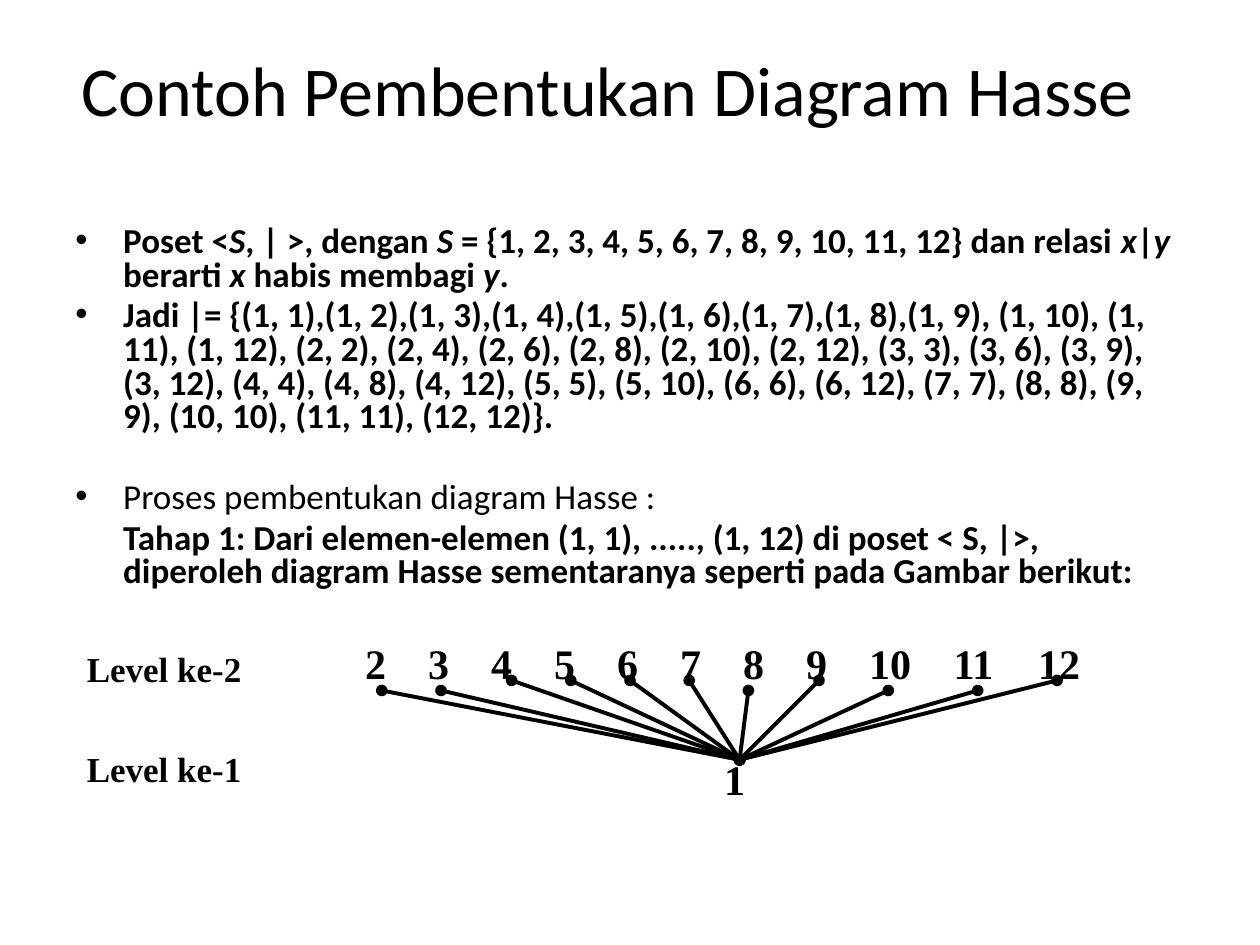
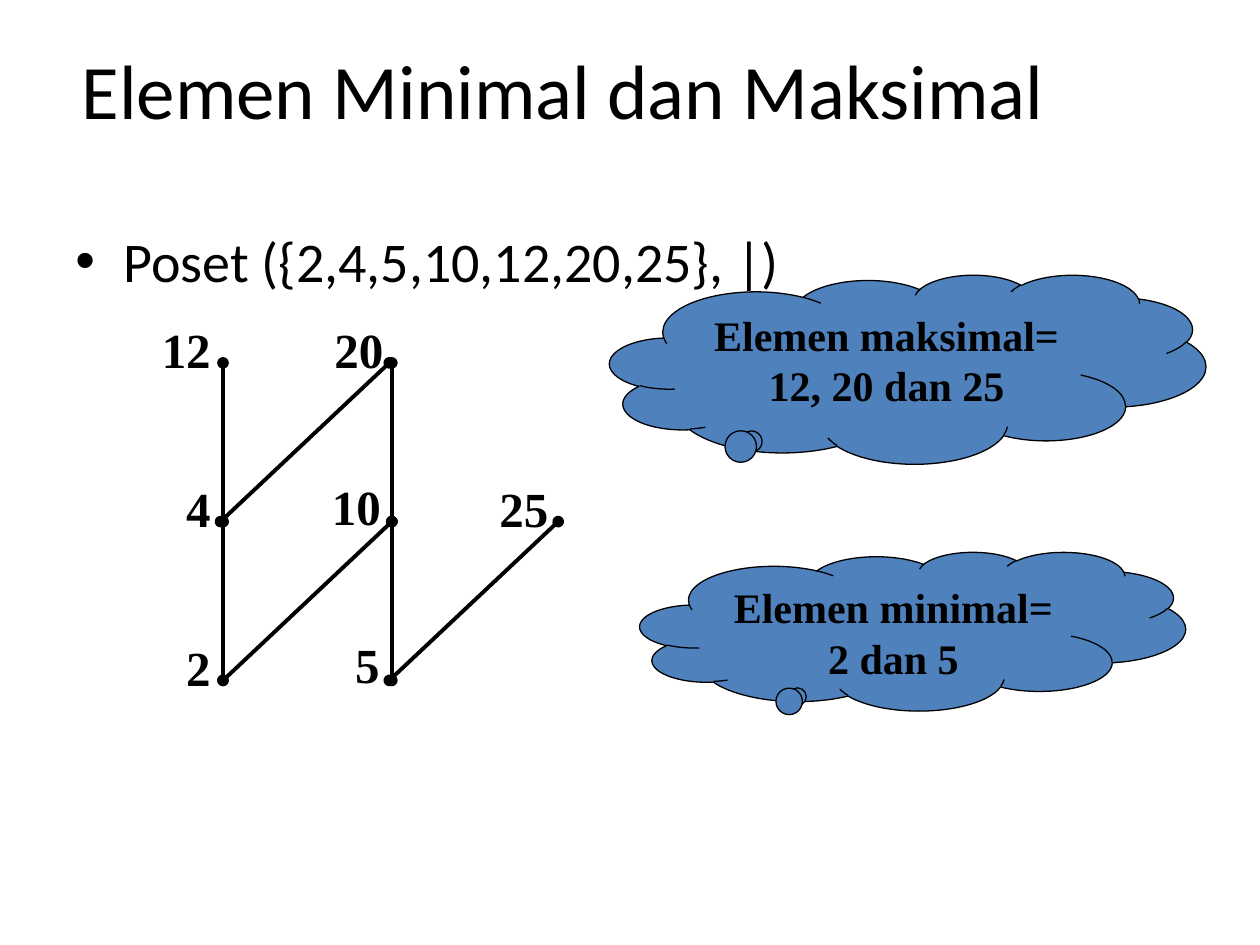
from pptx import Presentation
from pptx import util as u
from pptx.dml.color import RGBColor
from pptx.enum import shapes, text
from pptx.oxml.ns import qn
from lxml import etree

COLORS = {"ink": "000000", "paper": "FFFFFF", "cloud": "4F81BD"}
SANS, SERIF = "Calibri", "Times New Roman"
LEFT, CENTER, RIGHT = text.PP_ALIGN.LEFT, text.PP_ALIGN.CENTER, text.PP_ALIGN.RIGHT
INDENT = 0.38


def rgb(name):
    return RGBColor.from_string(COLORS[name])


def add_run(p, words, size, font, bold=False, italic=False):
    r = p.add_run()
    r.text = words
    r.font.size, r.font.name = u.Pt(size), font
    r.font.bold, r.font.italic = bold, italic
    r.font.color.rgb = rgb("ink")


def add_box(container, x, y, w, h, anchor=text.MSO_ANCHOR.TOP):
    sp = container.add_textbox(u.Inches(x), u.Inches(y), u.Inches(w), u.Inches(h))
    tf = sp.text_frame
    tf.word_wrap, tf.vertical_anchor = True, anchor
    return tf


def add_label(container, words, x, y, w, h, size, align=LEFT):
    p = add_box(container, x, y, w, h).paragraphs[0]
    p.alignment = align
    add_run(p, words, size, SERIF, bold=True)
    return p


def add_title(s, words, size):
    tf = add_box(s.shapes, 0.55, 0.08, 9, 1.25, text.MSO_ANCHOR.MIDDLE)
    add_run(tf.paragraphs[0], words, size, SANS)


def indent(p, bullet=True):
    pPr = p._p.get_or_add_pPr()
    pPr.set("marL", str(u.Inches(INDENT)))
    pPr.set("indent", str(u.Inches(-INDENT if bullet else 0)))
    if bullet:
        etree.SubElement(pPr, qn("a:buFont")).set("typeface", "Arial")
        etree.SubElement(pPr, qn("a:buChar")).set("char", "•")


def add_tabs(p, stops):
    tabs = etree.SubElement(p._p.get_or_add_pPr(), qn("a:tabLst"))
    for stop in stops:
        etree.SubElement(tabs, qn("a:tab"), pos=str(u.Inches(stop)), algn="l")


def add_edge(container, start, end):
    """Line with a round dot at each end."""
    points = [u.Inches(v) for v in (*start, *end)]
    ln = container.add_connector(shapes.MSO_CONNECTOR.STRAIGHT, *points)
    ln.line.width = u.Pt(2.25)
    ln.line.color.rgb = rgb("ink")
    for end_name in ("a:headEnd", "a:tailEnd"):
        etree.SubElement(ln.line._get_or_add_ln(), qn(end_name), type="oval")
    etree.SubElement(ln._element.spPr, qn("a:effectLst"))


def add_cloud(s, words, x, y, w, h, tail):
    sp = s.shapes.add_shape(shapes.MSO_SHAPE.CLOUD_CALLOUT, u.Inches(x), u.Inches(y),
                            u.Inches(w), u.Inches(h))
    sp.adjustments[0], sp.adjustments[1] = tail
    sp.shadow.inherit = False
    sp.fill.solid()
    sp.fill.fore_color.rgb = rgb("cloud")
    sp.line.color.rgb = rgb("ink")
    sp.line.width = u.Pt(0.75)
    tf = sp.text_frame
    tf.word_wrap, tf.vertical_anchor = True, text.MSO_ANCHOR.TOP
    p = tf.paragraphs[0]
    p.alignment = CENTER
    add_run(p, words, 24, SERIF, bold=True)


def new_slide(prs):
    s = prs.slides.add_slide(prs.slide_layouts[6])
    s.background.fill.solid()
    s.background.fill.fore_color.rgb = rgb("paper")
    return s


def divisibility_slide(prs):
    s = new_slide(prs)
    add_title(s, "Contoh Pembentukan Diagram Hasse", 40)

    # Body: (space before, bullet, bold, runs); every second run is italic
    body = [
        (0, True, True, ["Poset <", "S", ", | >, dengan ", "S ",
                         "= {1, 2, 3, 4, 5, 6, 7, 8, 9, 10, 11, 12} dan relasi ",
                         "x", "|", "y ", "berarti ", "x ", "habis membagi ", "y", "."]),
        (4, True, True, [
            "Jadi |= {(1, 1),(1, 2),(1, 3),(1, 4),(1, 5),(1, 6),(1, 7),(1, 8),(1, 9), "
            "(1, 10), (1, 11), (1, 12), (2, 2), (2, 4), (2, 6), (2, 8), (2, 10), (2, 12), "
            "(3, 3), (3, 6), (3, 9), (3, 12), (4, 4), (4, 8), (4, 12), (5, 5), (5, 10), "
            "(6, 6), (6, 12), (7, 7), (8, 8), (9, 9), (10, 10), (11, 11), (12, 12)}."]),
        (27, True, False, ["Proses pembentukan diagram Hasse :"]),
        (4, False, True, [
            "Tahap 1: Dari elemen-elemen (1, 1), ....., (1, 12) di poset < S, |>, "
            "diperoleh diagram Hasse sementaranya seperti pada Gambar berikut:"]),
    ]
    tf = add_box(s.shapes, 0.5, 1.75, 9, 3.17)
    for i, (before, bullet, bold, runs) in enumerate(body):
        p = tf.add_paragraph() if i else tf.paragraphs[0]
        indent(p, bullet)
        p.line_spacing = 0.8
        p.space_before = u.Pt(before)
        for n, words in enumerate(runs):
            add_run(p, words, 20, SANS, bold, italic=n % 2 == 1)

    # Level names and elements
    for level, y in ((2, 5.09), (1, 5.88)):
        add_label(s.shapes, f"Level ke-{level}", 0.59, y, 1.81, 0.43, 20)
    elements = [str(n) for n in range(2, 13)]
    stops, stop = [], 0
    for name in elements[:-1]:
        stop += 0.33 + 0.17 * len(name)  # gap plus digit widths
        stops.append(stop)
    p = add_label(s.shapes, "\t".join(elements), 2.8, 5.01, 6.22, 0.5, 24)
    add_tabs(p, stops)
    add_label(s.shapes, "1", 2.72, 5.93, 6.22, 0.5, 24, CENTER)

    # Edges from 1 to each element above it
    high, low = 5.4, 5.48
    tops = [(3.03, low), (3.5, low), (4.06, high), (4.53, high), (5, high), (5.47, high),
            (5.94, low), (6.5, high), (7.05, low), (7.76, low), (8.39, high)]
    for top in tops:
        add_edge(s.shapes, (5.87, 6.03), top)


def extremes_slide(prs):
    s = new_slide(prs)
    add_title(s, "Elemen Minimal dan Maksimal", 44)
    p = add_box(s.shapes, 0.5, 1.75, 9, 0.86).paragraphs[0]
    indent(p)
    add_run(p, "Poset ({2,4,5,10,12,20,25}, |)", 32, SANS)

    # Hasse diagram: element -> (column, level, label nudge x, label nudge y)
    nodes = {"2": (0, 0, 0, 0), "5": (1, 0, 0, -0.02), "4": (0, 1, 0, 0),
             "12": (0, 2, 0, 0), "10": (1, 1, 0.01, -0.02), "20": (1, 2, 0.03, 0),
             "25": (2, 1, 0, 0)}
    place = {name: (1.77 + 1.34 * col, 5.4 - 1.26 * level)
             for name, (col, level, _, _) in nodes.items()}
    edges = [("2", "4", 0), ("4", "12", 0), ("5", "10", 0), ("10", "20", 0),
             ("2", "10", 0), ("4", "20", -0.02), ("5", "25", -0.02)]
    diagram = s.shapes.add_group_shape().shapes
    for lower, upper, shift in edges:
        (x1, y1), (x2, y2) = place[lower], place[upper]
        add_edge(diagram, (x1 + shift, y1), (x2 + shift, y2))
    for name, (_, _, dx, dy) in nodes.items():
        x, y = place[name]
        w = 0.55 if len(name) == 1 else 0.79
        add_label(diagram, name, x - w + dx, y - 0.39 + dy, w, 0.57, 28, RIGHT)

    # Answers
    add_cloud(s, "Elemen minimal= 2 dan 5", 5.08, 4.38, 4.33, 1.26, (-0.21, 0.41))
    add_cloud(s, "Elemen maksimal= 12, 20 dan 25", 4.84, 2.18, 4.73, 1.5, (-0.26, 0.38))


def main():
    prs = Presentation()
    prs.slide_width, prs.slide_height = u.Inches(10), u.Inches(7.5)
    divisibility_slide(prs)
    extremes_slide(prs)
    prs.save("out.pptx")


if __name__ == "__main__":
    main()
